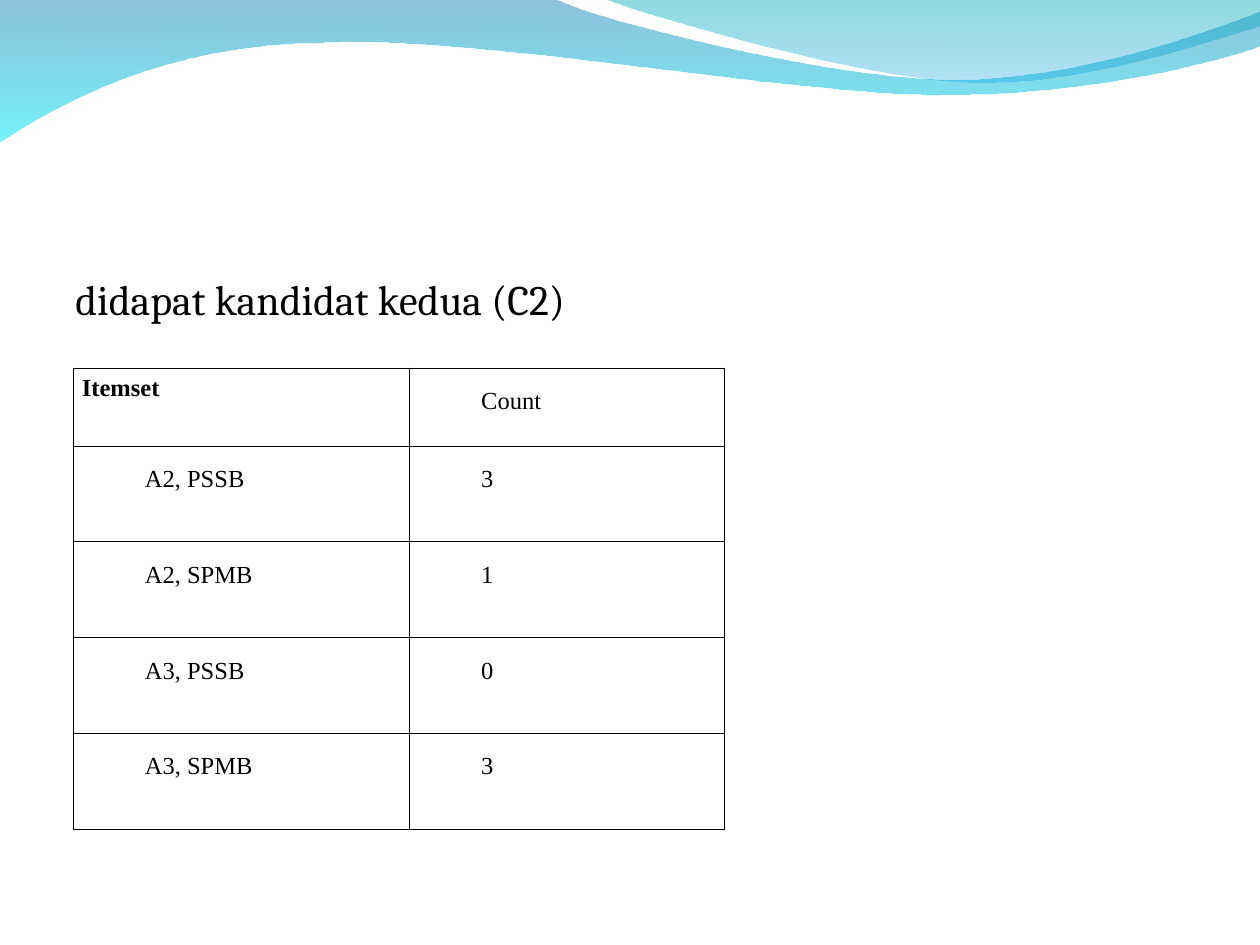
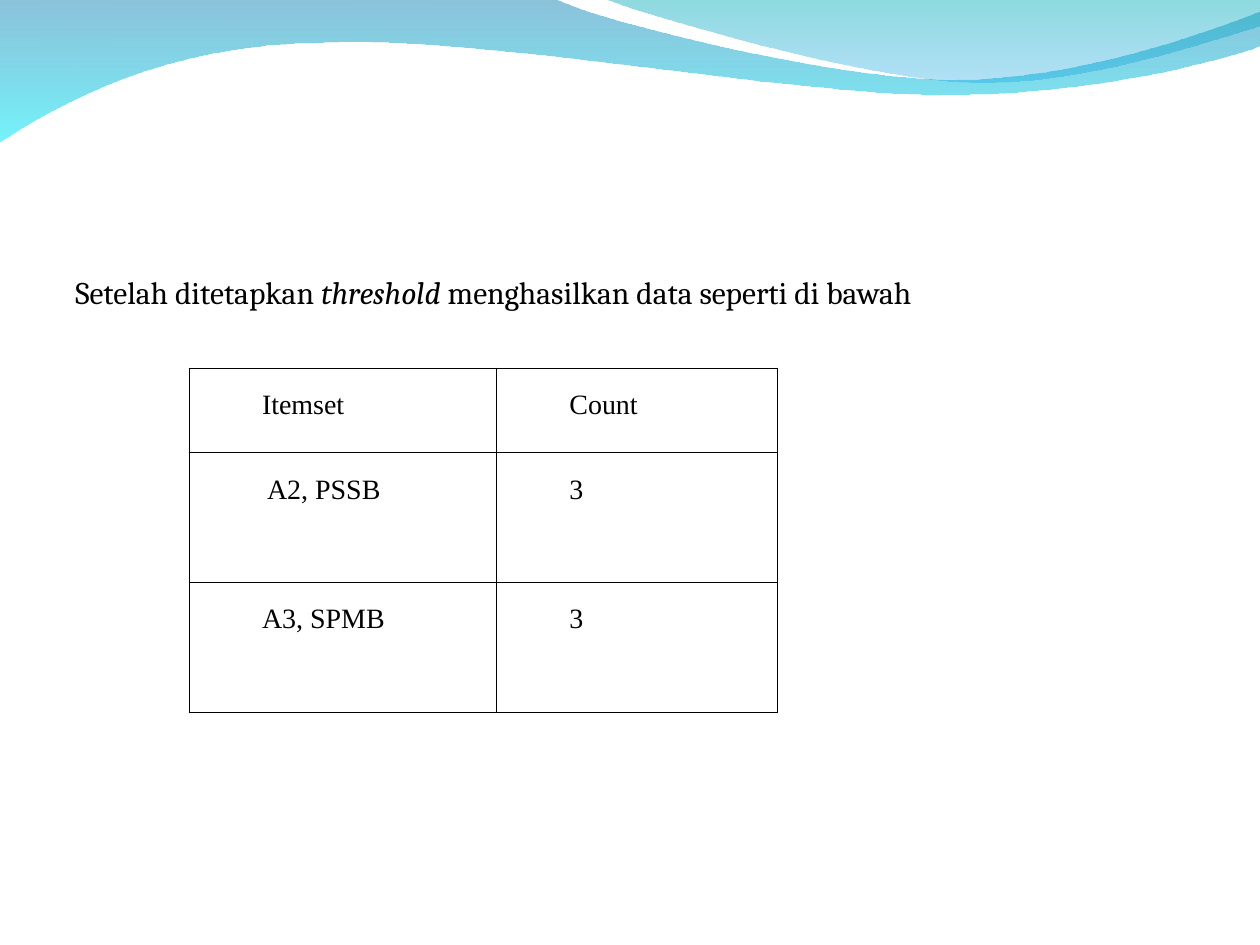
"""Build two slides showing the second candidate itemsets before and after the threshold."""
from lxml.etree import SubElement
from pptx import Presentation
from pptx.dml.color import RGBColor as RGB
from pptx.enum.text import PP_ALIGN as ALIGN
from pptx.oxml.ns import qn
from pptx.util import Inches, Pt

COLORS = {
    "text": "000000", "border": "000000",
    "wave_top": "0079AF", "wave_bottom": "00EBF8",
    "crest_top": "00ADB6", "crest_bottom": "009BE5",
}
WAVE = [
    [(0, -0.01)], [(4.4, -0.01)],
    [(4.76, 0.17), (6.64, 0.63), (7.58, 0.63)],
    [(8.53, 0.63), (9.58, 0.26), (10, 0.09)],
    [(10.01, 0.36)],
    [(9.83, 0.44), (8.7, 0.76), (7.46, 0.75)],
    [(6.22, 0.75), (3.82, 0.28), (2.57, 0.34)],
    [(1.29, 0.35), (0.46, 0.83), (-0.01, 1.13)],
    [(0, -0.01)],
]
CREST = [
    [(4.79, -0.01)],
    [(5.09, 0.11), (6.82, 0.62), (7.69, 0.65)],
    [(8.56, 0.69), (9.61, 0.32), (10, 0.21)],
    [(10, 0)], [(4.79, -0.01)],
]


class Deck:
    def __init__(self):
        self.prs = Presentation()
        self.prs.slide_width, self.prs.slide_height = Inches(10), Inches(7.5)
        self.s = None

    def slide(self):
        self.s = self.prs.slides.add_slide(self.prs.slide_layouts[6])
        self.wave(WAVE, "wave", (45, 55))
        self.wave(CREST, "crest", (45, 30))

    def curves(self, sp, segments):
        lines = iter(list(sp._element.iter(qn("a:lnTo"))))
        for segment in segments:
            first, *others = [next(lines) for _ in segment]
            if others:
                first.tag = qn("a:cubicBezTo")
            for line in others:
                first.append(line[0])
                line.getparent().remove(line)

    def wave(self, segments, name, opacities):
        start, *rest = [(Inches(x), Inches(y)) for segment in segments for x, y in segment]
        builder = self.s.shapes.build_freeform(*start)
        builder.add_line_segments(rest, close=True)
        sp = builder.convert_to_shape()
        self.curves(sp, segments[1:])
        sp.shadow.inherit = False
        sp.line.fill.background()
        sp.fill.gradient()
        sp.fill.gradient_angle = 270
        for stop, end in zip(sp.fill.gradient_stops, ("top", "bottom")):
            stop.color.rgb = RGB.from_string(COLORS[f"{name}_{end}"])
        for color, opacity in zip(sp._element.spPr.iter(qn("a:srgbClr")), opacities):
            SubElement(color, qn("a:alpha"), val=str(opacity * 1000))

    def font(self, p, name, size, bold=False):
        p.font.name, p.font.size, p.font.bold = name, Pt(size), bold
        p.font.color.rgb = RGB.from_string(COLORS["text"])

    def indent(self, p, left, first=0):
        pPr = p._p.get_or_add_pPr()
        pPr.set("marL", str(Inches(left)))
        pPr.set("indent", str(Inches(first)))

    def heading(self, runs, size, height):
        sp = self.s.shapes.add_textbox(Inches(0.5), Inches(2.12), Inches(9), Inches(height))
        tf = sp.text_frame
        tf.word_wrap = True
        p = tf.paragraphs[0]
        p.space_before = Pt(size / 4)
        self.indent(p, 0.3, -0.3)
        self.font(p, "Cambria", size)
        for text, italic in runs:
            r = p.add_run()
            r.text = text
            if italic:
                r.font.italic = True

    def borders(self, cell):
        tcPr = cell._tc.get_or_add_tcPr()
        for side in "LRTB":
            ln = SubElement(tcPr, qn(f"a:ln{side}"), w=str(Pt(0.45)))
            SubElement(SubElement(ln, qn("a:solidFill")), qn("a:srgbClr"),
                       val=COLORS["border"])

    def table(self, left, widths, heights, rows, size, margin, indents=None, plain=()):
        indents = indents or {}
        frame = self.s.shapes.add_table(
            len(rows), len(widths), Inches(left), Inches(2.92),
            Inches(sum(widths)), Inches(sum(heights)))
        table = frame.table
        table.first_row = table.horz_banding = False
        for column, width in zip(table.columns, widths):
            column.width = Inches(width)
        for row, height in zip(table.rows, heights):
            row.height = Inches(height)
        for i, row in enumerate(rows):
            for j, text in enumerate(row):
                cell = table.cell(i, j)
                cell.margin_left = cell.margin_right = Inches(margin)
                self.borders(cell)
                cell.fill.background()
                cell.text = text
                p = cell.text_frame.paragraphs[0]
                p.alignment = ALIGN.JUSTIFY
                is_plain = (i, j) in plain
                self.font(p, "Times New Roman", size, bold=is_plain)
                if not is_plain:
                    p.line_spacing = 1.5
                    self.indent(p, indents.get((i, j), 0.5))


def main():
    deck = Deck()

    deck.slide()
    deck.heading([("didapat kandidat kedua (C2)", False)], 24, 0.55)
    candidates = [("Itemset", "Count"), ("A2, PSSB", "3"), ("A2, SPMB", "1"),
                  ("A3, PSSB", "0"), ("A3, SPMB", "3")]
    deck.table(0.58, [2.67, 2.5], [0.62] + [0.76] * 4, candidates, 14, 0.07,
               plain={(0, 0)})

    deck.slide()
    deck.heading([("Setelah ditetapkan ", False), ("threshold ", True),
                  ("menghasilkan data seperti di bawah", False)], 18, 0.97)
    frequent = [row for row in candidates if row[1] in ("Count", "3")]
    deck.table(1.5, [2.44, 2.23], [0.67] + [1.03] * 2, frequent, 16, 0.08,
               indents={(1, 0): 0.54})

    deck.prs.save("out.pptx")


if __name__ == "__main__":
    main()
